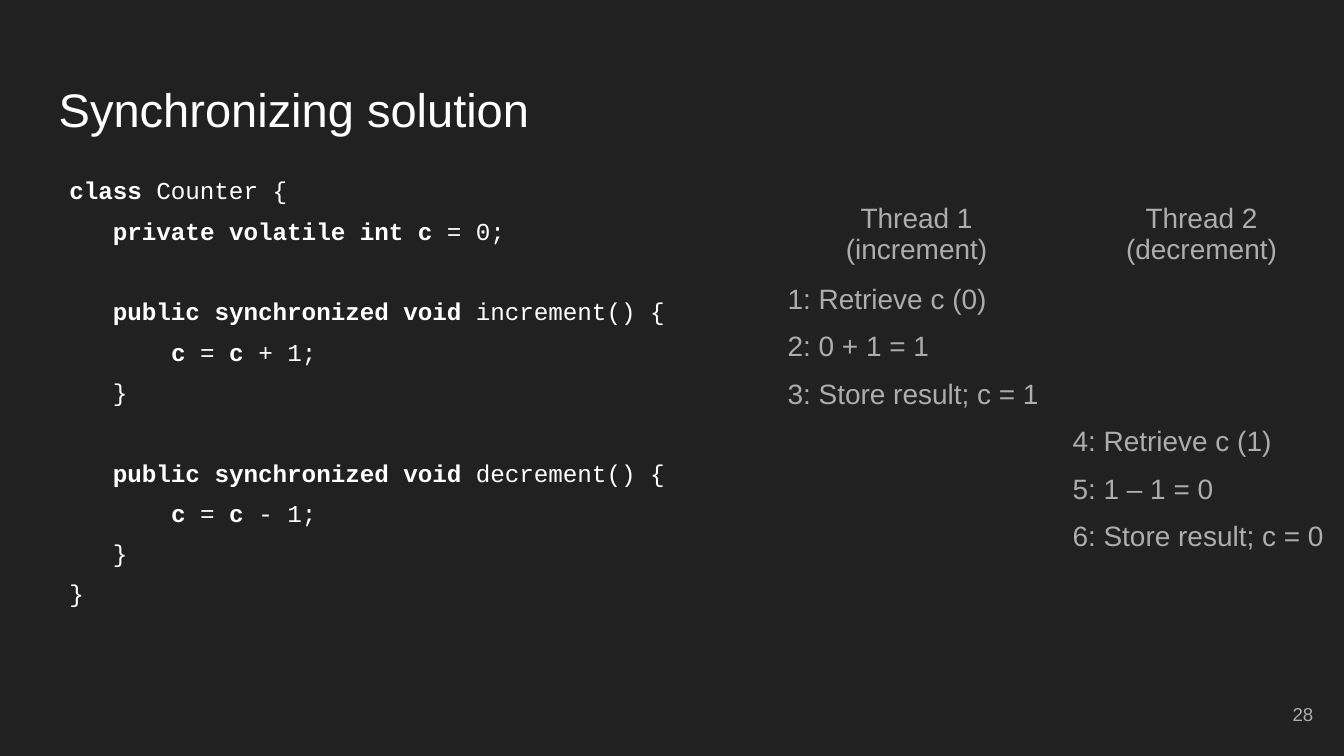
import dataclasses

import pptx
import pptx.dml.color
import pptx.enum.text
import pptx.oxml.ns
import pptx.util

Cm = pptx.util.Cm
Pt = pptx.util.Pt
RGBColor = pptx.dml.color.RGBColor
Align = pptx.enum.text.PP_ALIGN
Anchor = pptx.enum.text.MSO_ANCHOR

BACKGROUND = RGBColor(0x21, 0x21, 0x21)
WHITE = RGBColor(0xFF, 0xFF, 0xFF)
GRAY = RGBColor(0xAD, 0xAD, 0xAD)
NO_STYLE = "{2D5ABB26-0587-4C30-8999-92F81FD0307C}"
CHARACTER_WIDTH = 0.275
LINE_HEIGHT = 21.6


@dataclasses.dataclass(frozen=True)
class Style:
    font: str
    size: float
    color: RGBColor


@dataclasses.dataclass(frozen=True)
class CodeLine:
    indent: int
    spans: tuple[tuple[str, bool], ...]
    blank_before: bool = False


TITLE = Style("Arial", 25.2, WHITE)
CODE = Style("Courier New", 13, WHITE)
CELL = Style("Arial", 15, GRAY)
NUMBER = Style("Arial", 10, GRAY)


def method_lines(name: str, operator: str) -> list[CodeLine]:
    return [
        CodeLine(3, (("public synchronized void ", True), (f"{name}() {{", False)), True),
        CodeLine(7, (("c ", True), ("= ", False), ("c ", True), (f"{operator} 1;", False))),
        CodeLine(3, (("}", False),)),
    ]


CODE_LINES = [
    CodeLine(0, (("class ", True), ("Counter {", False))),
    CodeLine(3, (("private volatile int c ", True), ("= 0;", False))),
    *method_lines("increment", "+"),
    *method_lines("decrement", "-"),
    CodeLine(0, (("}", False),)),
]

THREAD_ROWS = [
    ("Thread 1\n(increment)", "Thread 2\n(decrement)"),
    ("1: Retrieve c (0)", ""),
    ("2: 0 + 1 = 1", ""),
    ("3: Store result; c = 1", ""),
    ("", "4: Retrieve c (1)"),
    ("", "5: 1 – 1 = 0"),
    ("", "6: Store result; c = 0"),
]


def format_span(span, style: Style, bold: bool = False) -> None:
    span.font.name = style.font
    span.font.size = Pt(style.size)
    span.font.color.rgb = style.color
    span.font.bold = bold


def fill_text(frame, text: str, style: Style, align: Align) -> None:
    frame.text = text
    for para in frame.paragraphs:
        para.alignment = align
        for span in para.runs:
            format_span(span, style)


def add_box(page, left: float, top: float, width: float, height: float, anchor: Anchor):
    box = page.shapes.add_textbox(Cm(left), Cm(top), Cm(width), Cm(height))
    frame = box.text_frame
    frame.word_wrap = True
    frame.vertical_anchor = anchor
    frame.margin_left = frame.margin_right = Cm(0.25)
    frame.margin_top = frame.margin_bottom = Cm(0.25)
    return frame


def add_code(page, lines: list[CodeLine]) -> None:
    frame = add_box(page, 0.86, 3.07, 12.1, 9.86, Anchor.TOP)
    for index, line in enumerate(lines):
        para = frame.paragraphs[0] if index == 0 else frame.add_paragraph()
        para.space_before = Pt(6 + LINE_HEIGHT * line.blank_before)
        para.line_spacing = Pt(LINE_HEIGHT - 6)
        properties = para._p.get_or_add_pPr()
        properties.set("marL", str(Cm(0.2 + line.indent * CHARACTER_WIDTH)))
        properties.set("indent", "0")
        for text, bold in line.spans:
            span = para.add_run()
            span.text = text
            format_span(span, CODE, bold)


def add_thread_table(page) -> None:
    shape = page.shapes.add_table(
        len(THREAD_ROWS), 2, Cm(14.63), Cm(3.71), Cm(10.77), Cm(6.86)
    )
    table = shape.table
    table.first_row = False
    table.horz_banding = False
    style_id = table._tbl.tblPr.find(pptx.oxml.ns.qn("a:tableStyleId"))
    style_id.text = NO_STYLE
    for row_index, texts in enumerate(THREAD_ROWS):
        header = row_index == 0
        table.rows[row_index].height = Cm(1.52 if header else 0.89)
        for column_index, text in enumerate(texts):
            cell = table.cell(row_index, column_index)
            cell.fill.background()
            cell.margin_top = cell.margin_bottom = Cm(0.13 if text else 0)
            fill_text(cell.text_frame, text, CELL, Align.CENTER if header else Align.LEFT)


def main() -> None:
    deck = pptx.Presentation()
    deck.slide_width = Cm(25.4)
    deck.slide_height = Cm(14.29)
    page = deck.slides.add_slide(deck.slide_layouts[6])
    page.background.fill.solid()
    page.background.fill.fore_color.rgb = BACKGROUND

    title = add_box(page, 0.86, 1.24, 23.67, 1.6, Anchor.BOTTOM)
    fill_text(title, "Synchronizing solution", TITLE, Align.LEFT)
    number = add_box(page, 23.55, 12.95, 1.52, 1.09, Anchor.MIDDLE)
    fill_text(number, "28", NUMBER, Align.RIGHT)
    add_code(page, CODE_LINES)
    add_thread_table(page)
    deck.save("out.pptx")


if __name__ == "__main__":
    main()
